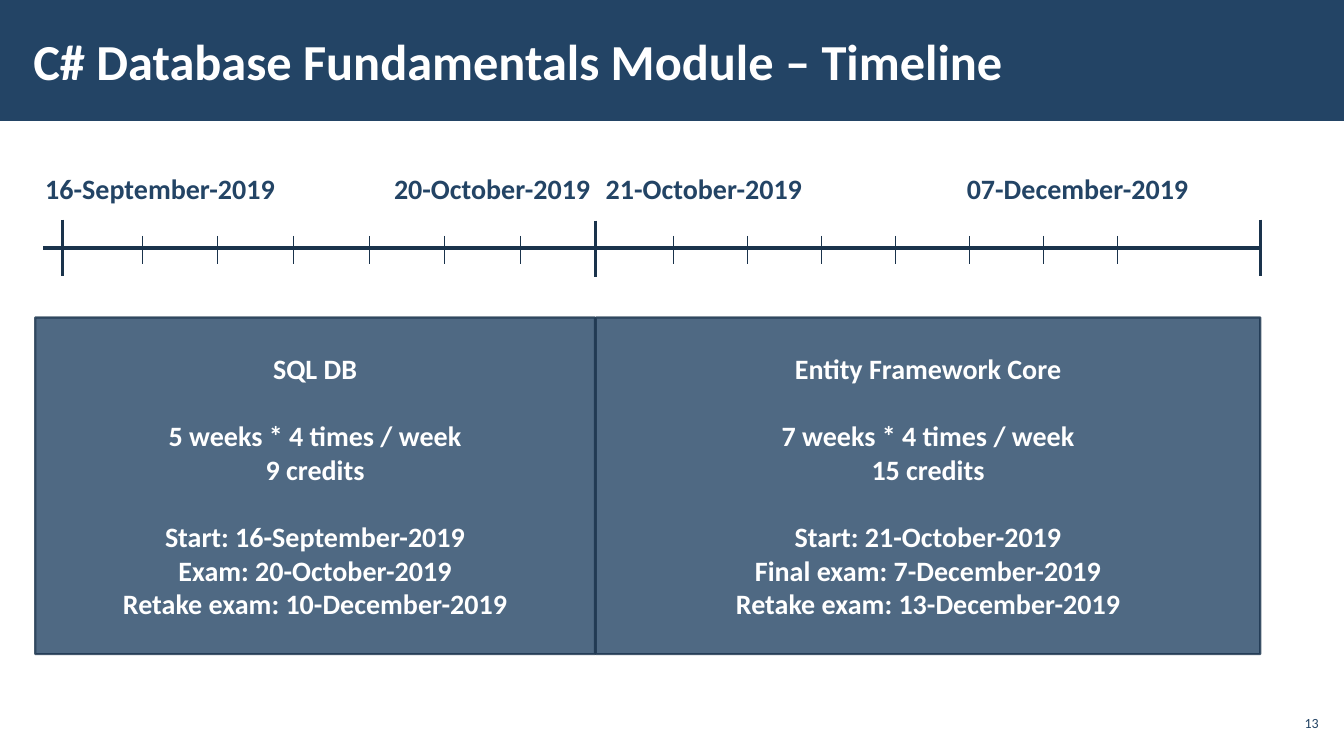
"""Build the timeline slide of the C# Database Fundamentals module."""
from lxml import etree
from pptx import Presentation
from pptx.dml.color import RGBColor
from pptx.enum.shapes import MSO_CONNECTOR, MSO_SHAPE
from pptx.enum.text import MSO_ANCHOR, MSO_AUTO_SIZE, PP_ALIGN
from pptx.oxml.ns import qn
from pptx.util import Inches, Pt

NAVY = RGBColor(0x23, 0x44, 0x65)
DARK_NAVY = RGBColor(0x1A, 0x33, 0x4C)
WHITE = RGBColor(0xFF, 0xFF, 0xFF)
RECTANGLE = MSO_SHAPE.RECTANGLE
STRAIGHT = MSO_CONNECTOR.STRAIGHT
MIDDLE = MSO_ANCHOR.MIDDLE
FIT_SHAPE = MSO_AUTO_SIZE.SHAPE_TO_FIT_TEXT
CENTER, LEFT, RIGHT = PP_ALIGN.CENTER, PP_ALIGN.LEFT, PP_ALIGN.RIGHT


def format_paragraph(paragraph, size, color, bold=True, alignment=LEFT):
    paragraph.alignment = alignment
    font = paragraph.font
    font.name, font.size, font.bold = "Calibri", Pt(size), bold
    font.color.rgb = color


def add_line(x1, y1, x2, y2, width):
    line = slide.shapes.add_connector(
        STRAIGHT, Inches(x1), Inches(y1), Inches(x2), Inches(y2))
    line.line.color.rgb = DARK_NAVY
    line.line.width = Pt(width)
    etree.SubElement(line.element.spPr, qn("a:effectLst"))


presentation = Presentation()
presentation.slide_width = Inches(13.33)
presentation.slide_height = Inches(7.5)
slide = presentation.slides.add_slide(presentation.slide_layouts[5])

title = slide.shapes.title
title.left, title.top = Inches(0.21), Inches(0.11)
title.width, title.height = Inches(10.39), Inches(0.97)
title_frame = title.text_frame
title_frame.text = "C# Database Fundamentals Module – Timeline"
title_frame.vertical_anchor = MIDDLE
title_frame.margin_left = title_frame.margin_right = Inches(0.12)
title_frame.margin_top = title_frame.margin_bottom = Inches(0.04)
format_paragraph(title_frame.paragraphs[0], 36, WHITE)

header = slide.shapes.add_shape(RECTANGLE, 0, 0, Inches(13.33), Inches(1.2))
header.shadow.inherit = False
header.fill.solid()
header.fill.fore_color.rgb = NAVY
header.line.fill.background()
title.element.addprevious(header.element)

courses = [
    (0.35, 5.55, ["SQL DB", "5 weeks * 4 times / week", "9 credits",
                  "Start: 16-September-2019", "Exam: 20-October-2019",
                  "Retake exam: 10-December-2019"]),
    (5.91, 6.59, ["Entity Framework Core", "7 weeks * 4 times / week", "15 credits",
                  "Start: 21-October-2019", "Final exam: 7-December-2019",
                  "Retake exam: 13-December-2019"]),
]
for left, width, lines in courses:
    course = slide.shapes.add_shape(
        RECTANGLE, Inches(left), Inches(3.15), Inches(width), Inches(3.34))
    course.shadow.inherit = False
    course.fill.solid()
    course.fill.fore_color.rgb = NAVY
    course.line.color.rgb = DARK_NAVY
    course.line.width = Pt(1.5)
    for color in course.element.spPr.iter(qn("a:srgbClr")):
        etree.SubElement(color, qn("a:alpha")).set("val", "80000")
    frame = course.text_frame
    frame.word_wrap = True
    frame.vertical_anchor = MIDDLE
    frame.text = "\n".join(lines)
    for paragraph in frame.paragraphs:
        format_paragraph(paragraph, 20, WHITE, alignment=CENTER)
    for group_start in (1, 3):
        frame.paragraphs[group_start].space_before = Pt(24)

add_line(0.43, 2.46, 12.5, 2.46, 2.25)
for x, top in [(0.62, 2.18), (5.91, 2.19), (12.5, 2.18)]:
    add_line(x, top, x, top + 0.56, 2.25)
for first, last, count in [(1.41, 5.16, 6), (6.68, 11.08, 7)]:
    for week in range(count):
        x = first + week * (last - first) / (count - 1)
        add_line(x, 2.34, x, 2.62, 0.5)

dates = [
    ("16-September-2019", 0.35, 2.51),
    ("20-October-2019", 3.81, 2.17),
    ("21-October-2019", 5.91, 2.17),
    ("07-December-2019", 9.49, 2.42),
]
for date, left, width in dates:
    label = slide.shapes.add_textbox(
        Inches(left), Inches(1.65), Inches(width), Inches(0.44))
    label.text_frame.text = date
    label.text_frame.word_wrap = False
    label.text_frame.auto_size = FIT_SHAPE
    format_paragraph(label.text_frame.paragraphs[0], 20, NAVY)

page_number = slide.shapes.add_textbox(
    Inches(12.65), Inches(7), Inches(0.47), Inches(0.34))
number_frame = page_number.text_frame
number_frame.text = "13"
number_frame.word_wrap = True
number_frame.vertical_anchor = MIDDLE
number_frame.margin_left = number_frame.margin_right = Inches(0.04)
number_frame.margin_top = number_frame.margin_bottom = Inches(0.04)
format_paragraph(number_frame.paragraphs[0], 10, NAVY, bold=False, alignment=RIGHT)

presentation.save("out.pptx")
